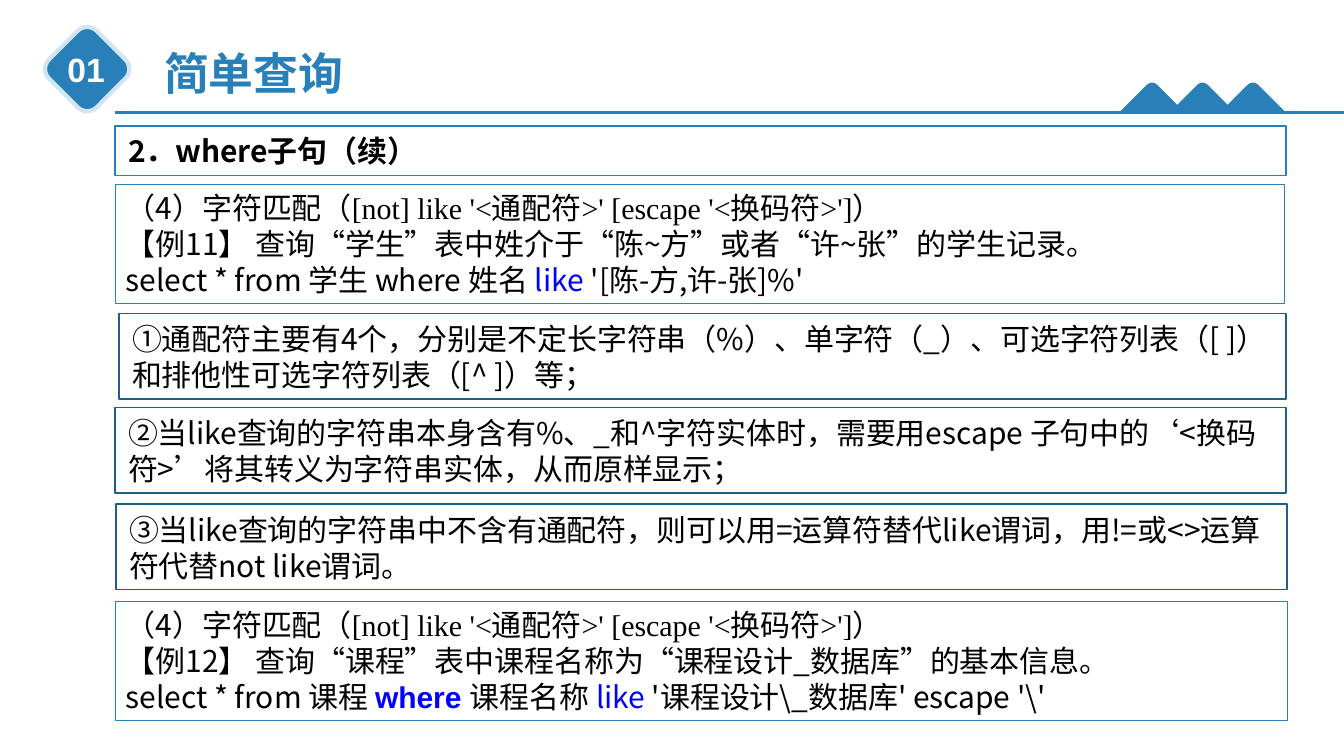
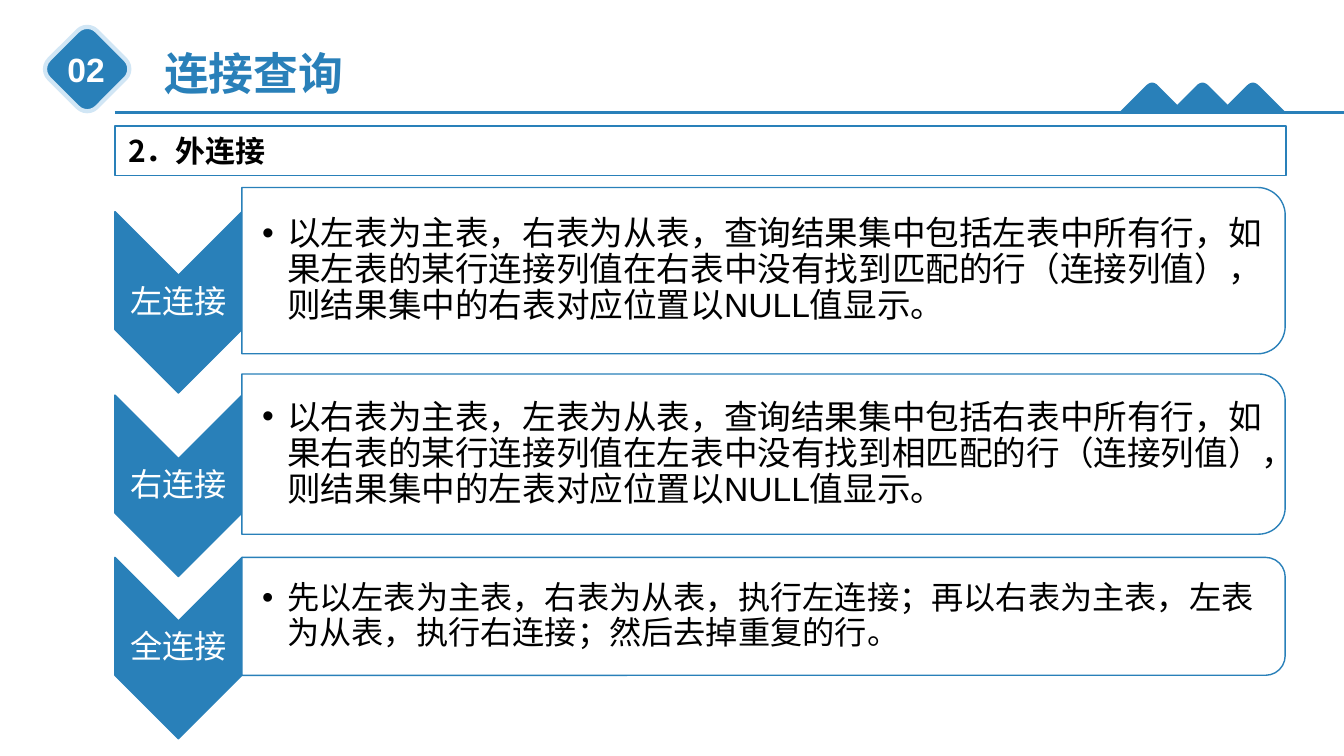
from dataclasses import dataclass

from lxml import etree
from pptx import Presentation
from pptx import util as u
from pptx.dml.color import RGBColor
from pptx.enum import shapes, text
from pptx.oxml.ns import qn

EMU_PER_PX = 9144  # 100 px to the inch
ANCHOR, ALIGN, SHAPE = text.MSO_ANCHOR, text.PP_ALIGN, shapes.MSO_SHAPE


@dataclass(frozen=True)
class Theme:
    blue: str = "2980B9"
    navy: str = "1E5F89"
    pale: str = "D1E6F5"
    keyword: str = "0000FF"
    black: str = "000000"
    white: str = "FFFFFF"
    sans: str = "Arial"
    serif: str = "Times New Roman"
    cjk: str = "Noto Sans CJK SC"
    title: float = 32
    number: float = 24
    body: float = 21.4
    label: float = 23
    leading: float = 1.2
    tight: float = 1.07


THEME = Theme()


@dataclass(frozen=True)
class Box:
    left: int
    top: int
    width: int
    height: int


@dataclass(frozen=True)
class Span:
    text: str
    color: str = THEME.black
    font: str = THEME.cjk
    bold: bool = False


@dataclass(frozen=True)
class TextStyle:
    size: float
    leading: float = THEME.leading
    inset_x: int = 10
    inset_y: int = 5
    right: int | None = None
    anchor: ANCHOR = ANCHOR.TOP
    align: ALIGN = ALIGN.LEFT
    wrap: bool = True
    bullet: bool = False


@dataclass(frozen=True)
class Panel:
    box: Box
    lines: list[list[Span]]
    style: TextStyle
    border: str = THEME.blue
    weight: float = 1


@dataclass(frozen=True)
class Join:
    label: str
    description: str
    arrow_top: int
    top: int
    height: int
    size: float


TITLE = TextStyle(THEME.title, wrap=False)
NUMBER = TextStyle(THEME.number, align=ALIGN.CENTER, wrap=False)
EXAMPLE = TextStyle(THEME.body)
NOTE = TextStyle(THEME.body, inset_x=13, inset_y=7)
HEADING = TextStyle(THEME.body, inset_x=13, inset_y=7, anchor=ANCHOR.MIDDLE)
LABEL = TextStyle(THEME.label, THEME.tight, 2, 2, anchor=ANCHOR.MIDDLE, align=ALIGN.CENTER)


def px(value: float) -> u.Emu:
    return u.Emu(round(value * EMU_PER_PX))


def rgb(color: str) -> RGBColor:
    return RGBColor.from_string(color)


# Drawing helpers

def write(shape, lines: list[list[Span]], style: TextStyle) -> None:
    frame = shape.text_frame
    frame.word_wrap = style.wrap
    frame.vertical_anchor = style.anchor
    frame.margin_left = px(style.inset_x)
    frame.margin_right = px(style.inset_x if style.right is None else style.right)
    frame.margin_top = frame.margin_bottom = px(style.inset_y)
    frame.text = "\n".join("" for _ in lines)
    for paragraph, spans in zip(frame.paragraphs, lines):
        paragraph.alignment = style.align
        paragraph.line_spacing = u.Pt(round(style.size * style.leading, 1))
        if style.bullet:
            add_bullet(paragraph)
        for span in spans:
            run = paragraph.add_run()
            run.text = span.text
            font = run.font
            font.size, font.bold, font.name = u.Pt(style.size), span.bold, span.font
            font.color.rgb = rgb(span.color)
            properties = run._r.get_or_add_rPr()
            properties.set("lang", "zh-CN")
            etree.SubElement(properties, qn("a:ea"), typeface=THEME.cjk)


def add_bullet(paragraph) -> None:
    properties = paragraph._p.get_or_add_pPr()
    properties.set("marL", str(px(25)))
    properties.set("indent", str(px(-25)))
    etree.SubElement(properties, qn("a:buFont"), typeface=THEME.sans)
    etree.SubElement(properties, qn("a:buChar"), char="•")


def add_text(slide, box: Box, span: Span, style: TextStyle) -> None:
    shape = slide.shapes.add_textbox(px(box.left), px(box.top), px(box.width), px(box.height))
    write(shape, [[span]], style)


def add_shape(slide, kind: SHAPE, box: Box, fill: str | None, border: str, weight: float):
    shape = slide.shapes.add_shape(kind, px(box.left), px(box.top), px(box.width), px(box.height))
    shape.shadow.inherit = False
    if fill:
        shape.fill.solid()
        shape.fill.fore_color.rgb = rgb(fill)
    else:
        shape.fill.background()
    shape.line.color.rgb = rgb(border)
    shape.line.width = u.Pt(weight)
    return shape


def add_turned(slide, kind: SHAPE, box: Box, fill: str) -> None:
    """Fill the given box with a shape turned a quarter clockwise."""
    shape = add_shape(slide, kind, box, fill, THEME.blue, 1)
    shape.left = px(box.left + (box.width - box.height) / 2)
    shape.top = px(box.top + (box.height - box.width) / 2)
    shape.width, shape.height = px(box.height), px(box.width)
    shape.rotation = 90


def add_panel(slide, panel: Panel) -> None:
    shape = add_shape(slide, SHAPE.RECTANGLE, panel.box, None, panel.border, panel.weight)
    write(shape, panel.lines, panel.style)


# Header shared by the slides

def add_hill(slide, center: int) -> None:
    steps = 8
    outline = [(center - 33, 112)]
    for step in range(steps + 1):
        t = step / steps
        outline.append((center - 6 + 12 * t, 85 - 12 * t * (1 - t)))
    outline.append((center + 33, 112))
    points = [(px(x), px(y)) for x, y in outline]
    builder = slide.shapes.build_freeform(*points[0])
    builder.add_line_segments(points[1:], close=True)
    hill = builder.convert_to_shape()
    hill.shadow.inherit = False
    hill.fill.solid()
    hill.fill.fore_color.rgb = rgb(THEME.blue)
    hill.line.fill.background()


def add_header(slide, number: str, title: str, heading: str) -> None:
    badge = add_shape(slide, SHAPE.ROUNDED_RECTANGLE, Box(53, 35, 67, 67),
                      THEME.blue, THEME.pale, 3)
    badge.rotation = 45
    badge.adjustments[0] = 0.2
    rule = slide.shapes.add_connector(shapes.MSO_CONNECTOR.STRAIGHT,
                                      px(114), px(112), px(1333), px(112))
    rule.line.color.rgb = rgb(THEME.blue)
    rule.line.width = u.Pt(2.25)
    etree.SubElement(rule._element.spPr, qn("a:effectLst"))
    add_text(slide, Box(153, 40, 198, 64), Span(title, THEME.blue, THEME.sans, True), TITLE)
    add_text(slide, Box(57, 44, 57, 50), Span(number, THEME.white, THEME.sans, True), NUMBER)
    for index in range(3):
        add_hill(slide, 1143 + 50 * index)
    add_panel(slide, Panel(Box(114, 125, 1162, 49), [[Span(heading, bold=True)]], HEADING))


# Slide 1: pattern matching

SYNTAX = [Span("（4）字符匹配（"),
          Span("[not] like '<通配符>' [escape '<换码符>']）", font=THEME.serif)]


def example(box: Box, task: str, query: list[Span]) -> Panel:
    return Panel(box, [SYNTAX, [Span(task)], query], EXAMPLE, weight=0.75)


def note(box: Box, words: str) -> Panel:
    return Panel(box, [[Span(words)]], NOTE, THEME.navy)


PANELS = [
    example(Box(115, 183, 1159, 118),
            "【例11】 查询“学生”表中姓介于“陈~方”或者“许~张”的学生记录。",
            [Span("select * from 学生 where 姓名 "), Span("like", THEME.keyword),
             Span(" '[陈-方,许-张]%'")]),
    note(Box(118, 311, 1158, 85),
         "①通配符主要有4个，分别是不定长字符串（%）、单字符（_）、"
         "可选字符列表（[ ]）和排他性可选字符列表（[^ ]）等；"),
    note(Box(114, 404, 1162, 85),
         "②当like查询的字符串本身含有%、_和^字符实体时，需要用escape 子句中的"
         "‘<换码符>’将其转义为字符串实体，从而原样显示；"),
    note(Box(115, 500, 1162, 85),
         "③当like查询的字符串中不含有通配符，则可以用=运算符替代like谓词，"
         "用!=或<>运算符代替not like谓词。"),
    example(Box(115, 597, 1162, 118),
            "【例12】 查询“课程”表中课程名称为“课程设计_数据库”的基本信息。",
            [Span("select * from 课程 "), Span("where ", THEME.keyword, THEME.sans, True),
             Span("课程名称 "), Span("like ", THEME.keyword),
             Span("'课程设计\\_数据库' escape '\\'")]),
]

# Slide 2: outer joins

JOINS = [
    Join("左连接", "以左表为主表，右表为从表，查询结果集中包括左表中所有行，"
         "如果左表的某行连接列值在右表中没有找到匹配的行（连接列值），"
         "则结果集中的右表对应位置以NULL值显示。", 210, 186, 165, 24),
    Join("右连接", "以右表为主表，左表为从表，查询结果集中包括右表中所有行，"
         "如果右表的某行连接列值在左表中没有找到相匹配的行（连接列值），"
         "则结果集中的左表对应位置以NULL值显示。", 392, 371, 159, 24),
    Join("全连接", "先以左表为主表，右表为从表，执行左连接；再以右表为主表，"
         "左表为从表，执行右连接；然后去掉重复的行。", 553, 553, 117, 23),
]


def add_join(slide, join: Join) -> None:
    add_turned(slide, SHAPE.CHEVRON, Box(114, join.arrow_top, 126, 180), THEME.blue)
    add_text(slide, Box(114, join.arrow_top + 63, 126, 54),
             Span(join.label, THEME.white, THEME.sans), LABEL)
    add_turned(slide, SHAPE.ROUND_2_SAME_RECTANGLE,
               Box(240, join.top, 1035, join.height), THEME.white)
    style = TextStyle(join.size, THEME.tight, 19, 2, right=2,
                      anchor=ANCHOR.MIDDLE, bullet=True)
    add_text(slide, Box(241, join.top, 1027, join.height),
             Span(join.description, font=THEME.sans), style)


def main() -> None:
    presentation = Presentation()
    presentation.slide_width, presentation.slide_height = u.Emu(12192000), px(750)
    blank = presentation.slide_layouts[6]

    matching = presentation.slides.add_slide(blank)
    add_header(matching, "01", "简单查询", "2．where子句（续）")
    for panel in PANELS:
        add_panel(matching, panel)

    joining = presentation.slides.add_slide(blank)
    add_header(joining, "02", "连接查询", "2．外连接")
    for join in JOINS:
        add_join(joining, join)

    presentation.save("out.pptx")


if __name__ == "__main__":
    main()
